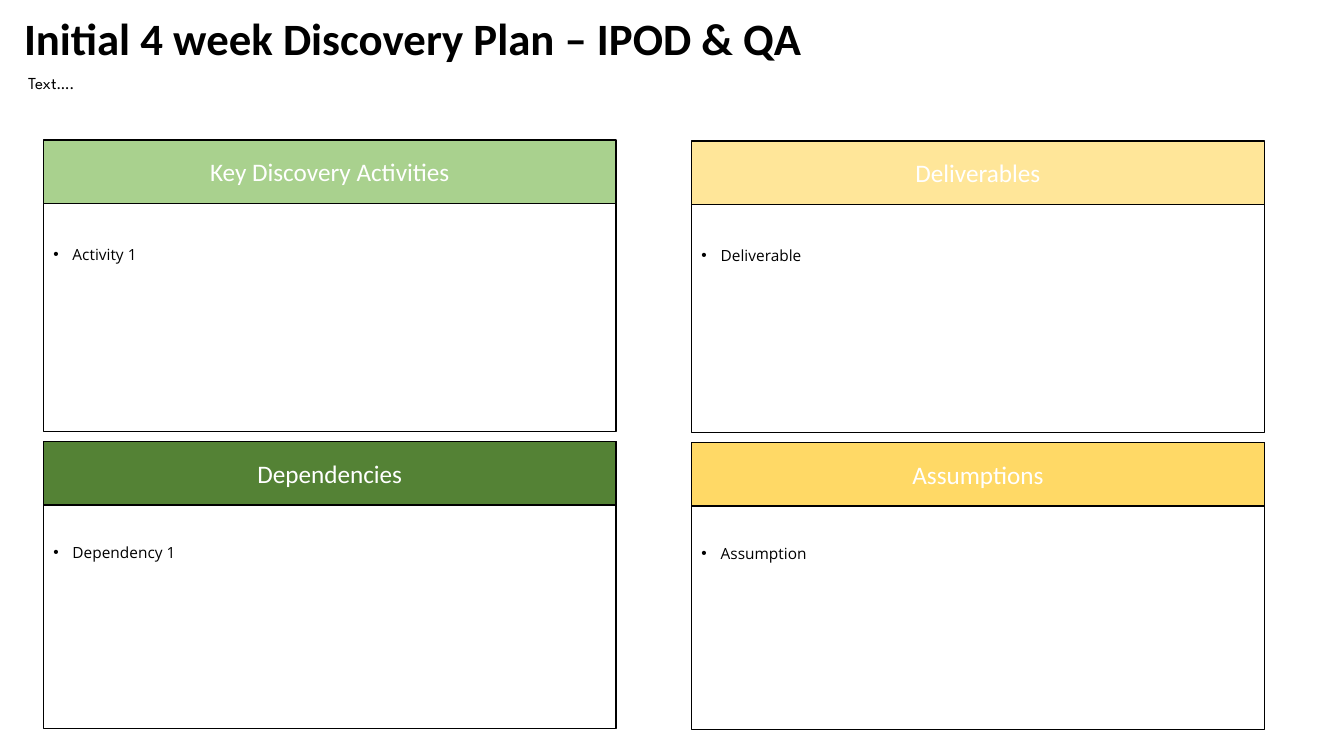
from dataclasses import dataclass
from typing import Any

from lxml.etree import SubElement
from pptx import Presentation
from pptx.dml.color import RGBColor
from pptx.enum.shapes import MSO_SHAPE as Shape
from pptx.enum.text import MSO_ANCHOR as Anchor, MSO_AUTO_SIZE as AutoSize, PP_ALIGN as Align
from pptx.oxml.ns import qn
from pptx.util import Inches, Pt

BLACK = RGBColor(0x00, 0x00, 0x00)
WHITE = RGBColor(0xFF, 0xFF, 0xFF)
LIGHT_GREEN = RGBColor(0xA9, 0xD1, 0x8E)
DARK_GREEN = RGBColor(0x54, 0x82, 0x35)
PALE_YELLOW = RGBColor(0xFF, 0xE6, 0x99)
YELLOW = RGBColor(0xFF, 0xD9, 0x66)

WIDTH, HEIGHT = Inches(13.33), Inches(7.5)
INDENT = Inches(0.19)

TITLE_FONT = {"name": "Calibri", "size": Pt(32), "bold": True}
INTRO_FONT = {"name": "League Spartan", "size": Pt(12)}
HEADER_FONT = {"name": "Calibri", "size": Pt(18)}
BULLET_FONT = {"name": "Open Sans", "size": Pt(11)}
NO_MARGINS = {f"margin_{side}": 0 for side in ("left", "top", "right", "bottom")}


@dataclass(frozen=True)
class Box:
    """Percentages of the slide's width and height."""

    x: float
    y: float
    w: float
    h: float

    def emu(self) -> tuple[int, int, int, int]:
        return (int(WIDTH * self.x / 100), int(HEIGHT * self.y / 100),
                int(WIDTH * self.w / 100), int(HEIGHT * self.h / 100))


@dataclass(frozen=True)
class Row:
    frame: float
    header: float
    bullet: float


@dataclass(frozen=True)
class Column:
    x: float
    drop: float


@dataclass(frozen=True)
class Panel:
    column: int
    row: int
    heading: str
    item: str
    color: RGBColor


COLUMNS = (Column(3.23, 0), Column(51.46, 0.13))
ROWS = (Row(19.07, 18.53, 31.73), Row(58.4, 58.4, 71.2))
PANEL_W, PANEL_H, HEADER_H = 42.61, 38, 8.4
BULLET_W, BULLET_H = 41.26, 3.87

PANELS = (
    Panel(0, 0, "Key Discovery Activities", "Activity 1", LIGHT_GREEN),
    Panel(0, 1, "Dependencies", "Dependency 1", DARK_GREEN),
    Panel(1, 0, "Deliverables", "Deliverable", PALE_YELLOW),
    Panel(1, 1, "Assumptions", "Assumption", YELLOW),
)


def apply(target: Any, values: dict[str, Any]) -> None:
    for name, value in values.items():
        setattr(target, name, value)


def write(sp: Any, text: str, font: dict[str, Any], color: RGBColor,
          frame: dict[str, Any], para: dict[str, Any]) -> Any:
    tf = sp.text_frame
    apply(tf, {"word_wrap": True, **frame})
    p = tf.paragraphs[0]
    apply(p, para)
    r = p.add_run()
    r.text = text
    apply(r.font, font)
    r.font.color.rgb = color
    return p


def add_text(s: Any, box: Box, text: str, font: dict[str, Any],
             frame: dict[str, Any], para: dict[str, Any]) -> Any:
    return write(s.shapes.add_textbox(*box.emu()), text, font, BLACK, frame, para)


def add_rect(s: Any, box: Box, fill: RGBColor | None = None) -> Any:
    sp = s.shapes.add_shape(Shape.RECTANGLE, *box.emu())
    sp.shadow.inherit = False
    if fill is None:
        sp.fill.background()
    else:
        sp.fill.solid()
        sp.fill.fore_color.rgb = fill
    sp.line.color.rgb = BLACK
    sp.line.width = Pt(1)
    return sp


def add_bullet(p: Any) -> None:
    pPr = p._p.get_or_add_pPr()
    pPr.set("marL", str(INDENT))
    pPr.set("indent", str(-INDENT))
    SubElement(pPr, qn("a:buFont")).set("typeface", "Arial")
    SubElement(pPr, qn("a:buChar")).set("char", "•")


def add_panel(s: Any, panel: Panel) -> None:
    col, row = COLUMNS[panel.column], ROWS[panel.row]
    add_rect(s, Box(col.x, row.frame + col.drop, PANEL_W, PANEL_H))
    p = add_text(s, Box(col.x, row.bullet + col.drop, BULLET_W, BULLET_H), panel.item,
                 BULLET_FONT, {"auto_size": AutoSize.SHAPE_TO_FIT_TEXT},
                 {"space_after": Pt(6)})
    add_bullet(p)
    sp = add_rect(s, Box(col.x, row.header + col.drop, PANEL_W, HEADER_H), panel.color)
    write(sp, panel.heading, HEADER_FONT, WHITE,
          {"vertical_anchor": Anchor.MIDDLE}, {"alignment": Align.CENTER})


def main() -> None:
    prs = Presentation()
    apply(prs, {"slide_width": WIDTH, "slide_height": HEIGHT})
    s = prs.slides.add_slide(prs.slide_layouts[6])
    add_text(s, Box(1.05, 2.4, 81.77, 6.13), "Initial 4 week Discovery Plan – IPOD & QA",
             TITLE_FONT, {"vertical_anchor": Anchor.MIDDLE}, {"line_spacing": 0.9})
    add_text(s, Box(2.1, 9.6, 94.97, 2.67), "Text….", INTRO_FONT,
             {"auto_size": AutoSize.SHAPE_TO_FIT_TEXT, **NO_MARGINS}, {})
    for panel in PANELS:
        add_panel(s, panel)
    prs.save("out.pptx")


if __name__ == "__main__":
    main()
